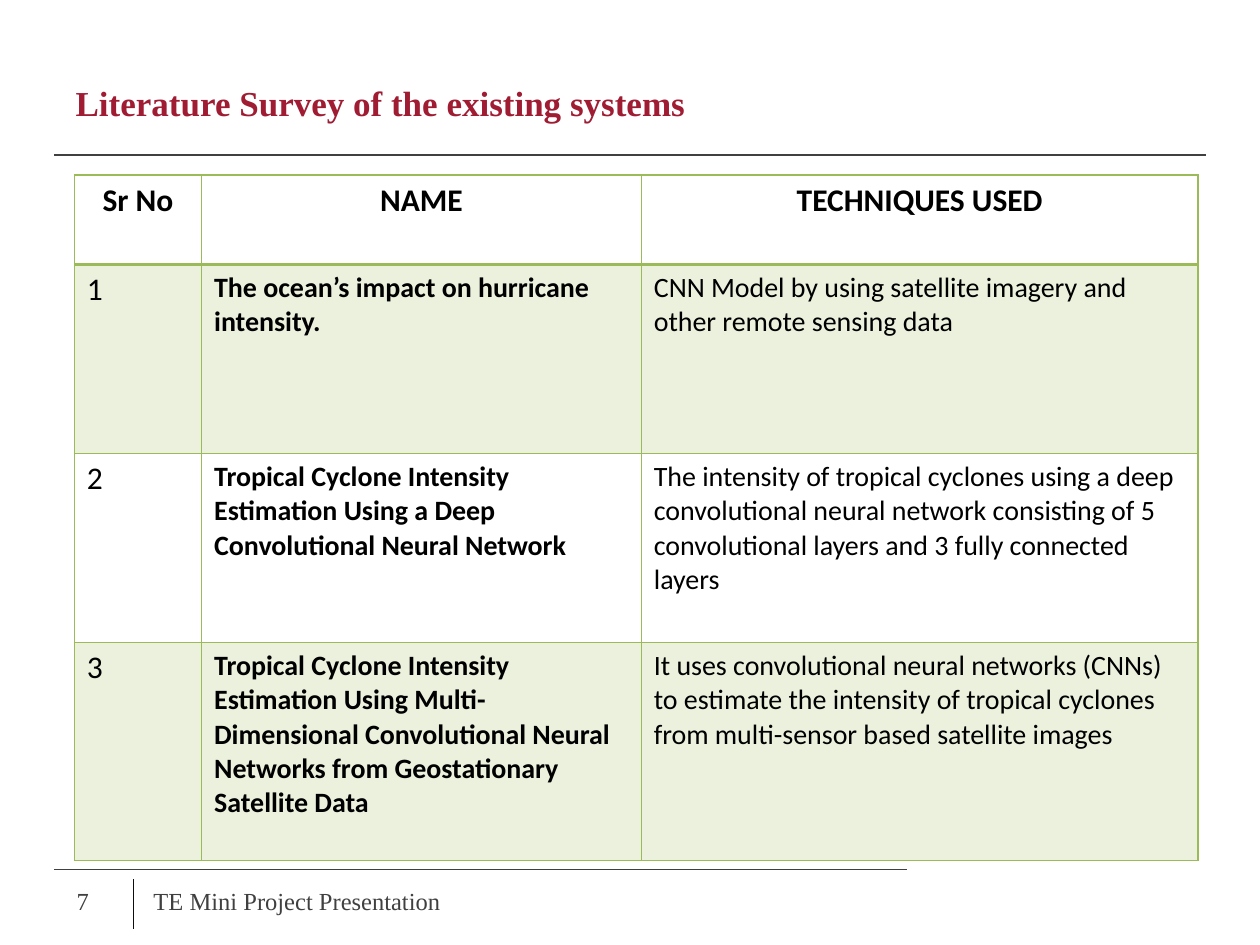
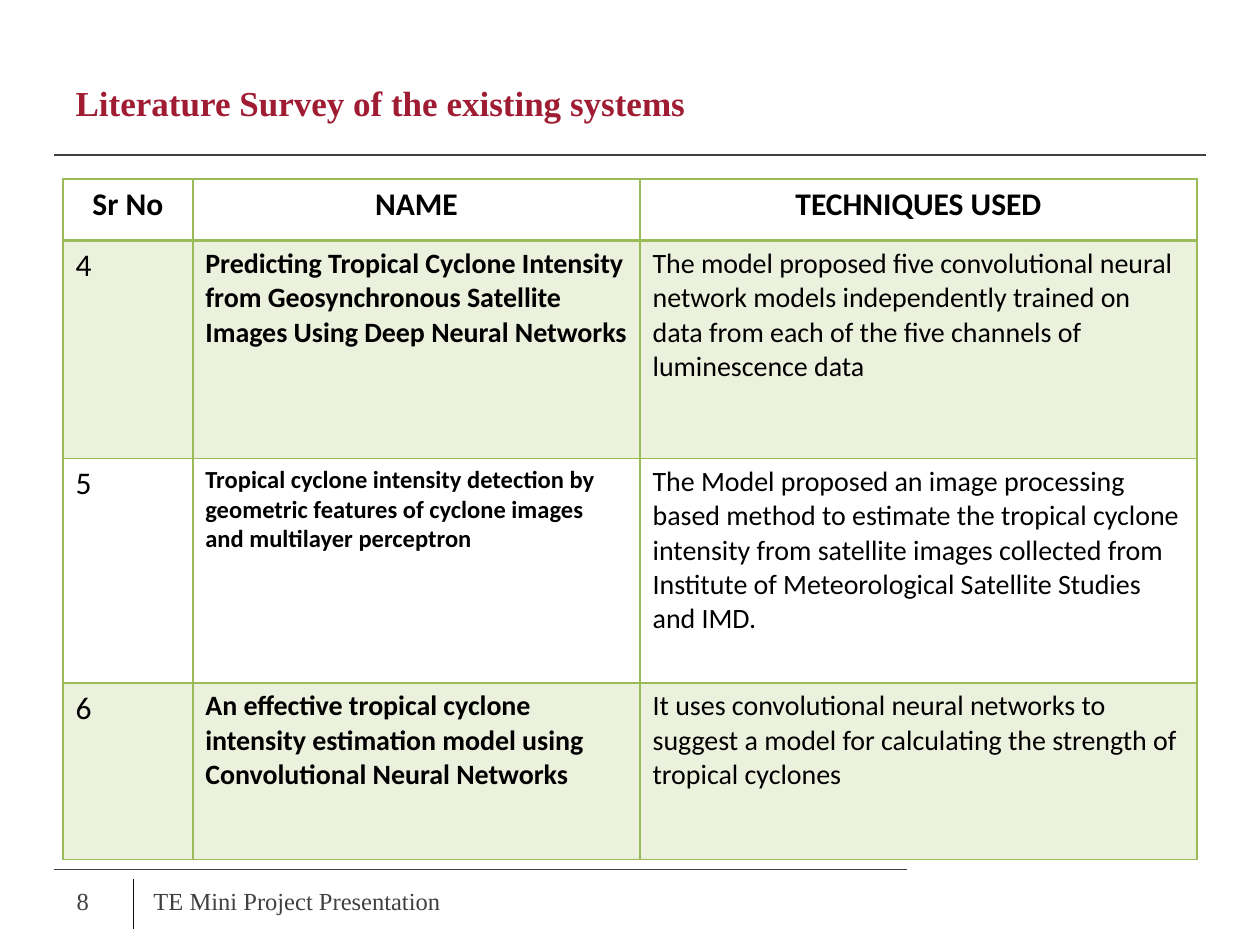
import pptx
import pptx.dml.color
import pptx.enum.shapes
import pptx.enum.text
import pptx.oxml.ns
import pptx.util
from dataclasses import dataclass
from lxml import etree

Inches = pptx.util.Inches
Pt = pptx.util.Pt
qn = pptx.oxml.ns.qn
Align = pptx.enum.text.PP_ALIGN
Anchor = pptx.enum.text.MSO_ANCHOR


@dataclass(frozen=True)
class Theme:
    title_color: str = "9F1C33"
    footer_color: str = "404040"
    divider_color: str = "0D0D0D"
    text_color: str = "000000"
    green: str = "9BBB59"
    band_opacity: int = 20
    heading_font: str = "Times New Roman"
    table_font: str = "Calibri"
    title_size: int = 20
    footer_size: int = 14
    label_size: int = 18
    body_size: int = 16
    small_size: int = 14
    rule_width: float = 0.75
    border_width: int = 1
    header_border_width: int = 2


THEME = Theme()
TITLE = "Literature Survey of the existing systems"
FOOTER = "TE Mini Project Presentation"
HEADINGS = ("Sr No", "NAME", "TECHNIQUES USED")


def rgb(color):
    return pptx.dml.color.RGBColor.from_string(color)


class SurveyDeck:
    def __init__(self, theme):
        self.theme = theme
        self.deck = pptx.Presentation()
        self.deck.slide_width, self.deck.slide_height = Inches(10), Inches(7.5)
        self.page = None

    def add_page(self, number):
        self.page = self.deck.slides.add_slide(self.deck.slide_layouts[5])
        theme = self.theme
        # Rules under the title and around the footer
        self.rule(0.43, 6.9, 7.2, 6.9, theme.footer_color)
        self.rule(1.06, 6.98, 1.06, 7.37, theme.divider_color)
        self.rule(0.43, 1.23, 9.57, 1.23, theme.footer_color)
        # Title and footer
        self.title(TITLE)
        self.footer(FOOTER, 1.12, 3.17)
        self.footer(str(number), 0.51, 0.52)

    def set_text(self, frame, text, font, size, color, bold=False, align=Align.LEFT):
        frame.text = text
        frame.word_wrap = True
        for para in frame.paragraphs:
            para.alignment = align
            for span in para.runs:
                span.font.name = font
                span.font.size = Pt(size)
                span.font.bold = bold
                span.font.color.rgb = rgb(color)

    def place(self, box, left, top, width, height):
        box.left, box.top = Inches(left), Inches(top)
        box.width, box.height = Inches(width), Inches(height)
        box.text_frame.vertical_anchor = Anchor.MIDDLE

    def title(self, text):
        theme, box = self.theme, self.page.shapes.title
        self.place(box, 0.5, 0.36, 9, 0.9)
        self.set_text(box.text_frame, text, theme.heading_font, theme.title_size,
                      theme.title_color, bold=True)

    def footer(self, text, left, width):
        theme = self.theme
        box = self.page.shapes.add_textbox(0, 0, 0, 0)
        self.place(box, left, 6.95, width, 0.4)
        self.set_text(box.text_frame, text, theme.heading_font, theme.footer_size,
                      theme.footer_color)

    def rule(self, x1, y1, x2, y2, color):
        line = self.page.shapes.add_connector(
            pptx.enum.shapes.MSO_CONNECTOR.STRAIGHT,
            Inches(x1), Inches(y1), Inches(x2), Inches(y2))
        line.line.color.rgb = rgb(color)
        line.line.width = Pt(self.theme.rule_width)
        etree.SubElement(line._element.spPr, qn("a:effectLst"))

    def border(self, cell, side, width):
        properties = cell._tc.get_or_add_tcPr()
        line = etree.SubElement(properties, qn("a:ln" + side), w=str(Pt(width)))
        fill = etree.SubElement(line, qn("a:solidFill"))
        etree.SubElement(fill, qn("a:srgbClr"), val=self.theme.green)

    def shade(self, cell, banded):
        if not banded:
            cell.fill.background()
            return
        cell.fill.solid()
        cell.fill.fore_color.rgb = rgb(self.theme.green)
        color = cell._tc.tcPr.find(qn("a:solidFill")).find(qn("a:srgbClr"))
        etree.SubElement(color, qn("a:alpha"), val=str(self.theme.band_opacity * 1000))

    def survey_table(self, left, top, widths, heights, papers, name_sizes):
        theme = self.theme
        frame = self.page.shapes.add_table(
            len(heights), len(widths), Inches(left), Inches(top),
            Inches(sum(widths)), Inches(sum(heights)))
        table = frame.table
        table.first_row = table.horz_banding = False
        for column, width in zip(table.columns, widths):
            column.width = Inches(width)
        for row, height in zip(table.rows, heights):
            row.height = Inches(height)

        for row, texts in enumerate([HEADINGS, *papers]):
            header = row == 0
            if header:
                sizes = [theme.label_size] * len(widths)
            else:
                sizes = [theme.label_size, name_sizes[row - 1], theme.body_size]
            for column, (text, size) in enumerate(zip(texts, sizes)):
                cell = table.cell(row, column)
                self.set_text(cell.text_frame, text, theme.table_font, size,
                              theme.text_color, bold=header or column == 1,
                              align=Align.CENTER if header else Align.LEFT)
                # Heavier line between the headings and the papers
                heavy = {"B": 0, "T": 1}
                for side in "LRTB":
                    self.border(cell, side, theme.header_border_width
                                if heavy.get(side) == row else theme.border_width)
                self.shade(cell, banded=row % 2 == 1)


def main():
    survey = SurveyDeck(THEME)
    body, small = THEME.body_size, THEME.small_size

    # Papers 1 to 3
    survey.add_page(7)
    survey.survey_table(
        0.59, 1.39, (1.01, 3.49, 4.42), (0.71, 1.5, 1.5, 1.73),
        [
            ("1", "The ocean’s impact on hurricane intensity.",
             "CNN Model by using satellite imagery and other remote sensing data"),
            ("2", "Tropical Cyclone Intensity Estimation Using a Deep "
                  "Convolutional Neural Network",
             "The intensity of tropical cyclones using a deep convolutional neural "
             "network consisting of 5 convolutional layers and 3 fully connected layers"),
            ("3", "Tropical Cyclone Intensity Estimation Using Multi-Dimensional "
                  "Convolutional Neural Networks from Geostationary Satellite Data",
             "It uses convolutional neural networks (CNNs) to estimate the intensity "
             "of tropical cyclones from multi-sensor based satellite images"),
        ],
        (body, body, body))

    # Papers 4 to 6
    survey.add_page(8)
    survey.survey_table(
        0.5, 1.42, (1.03, 3.55, 4.42), (0.49, 1.73, 1.78, 1.4),
        [
            ("4", "Predicting Tropical Cyclone Intensity from Geosynchronous "
                  "Satellite Images Using Deep Neural Networks",
             "The model proposed five convolutional neural network models "
             "independently trained on data from each of the five channels of "
             "luminescence data"),
            ("5", "Tropical cyclone intensity detection by geometric features of "
                  "cyclone images and multilayer perceptron",
             "The Model proposed an image processing based method to estimate the "
             "tropical cyclone intensity from satellite images collected from "
             "Institute of Meteorological Satellite Studies and IMD."),
            ("6", "An effective tropical cyclone intensity estimation model using "
                  "Convolutional Neural Networks",
             "It uses convolutional neural networks to suggest a model for "
             "calculating the strength of tropical cyclones"),
        ],
        (body, small, body))

    survey.deck.save("out.pptx")


if __name__ == "__main__":
    main()
